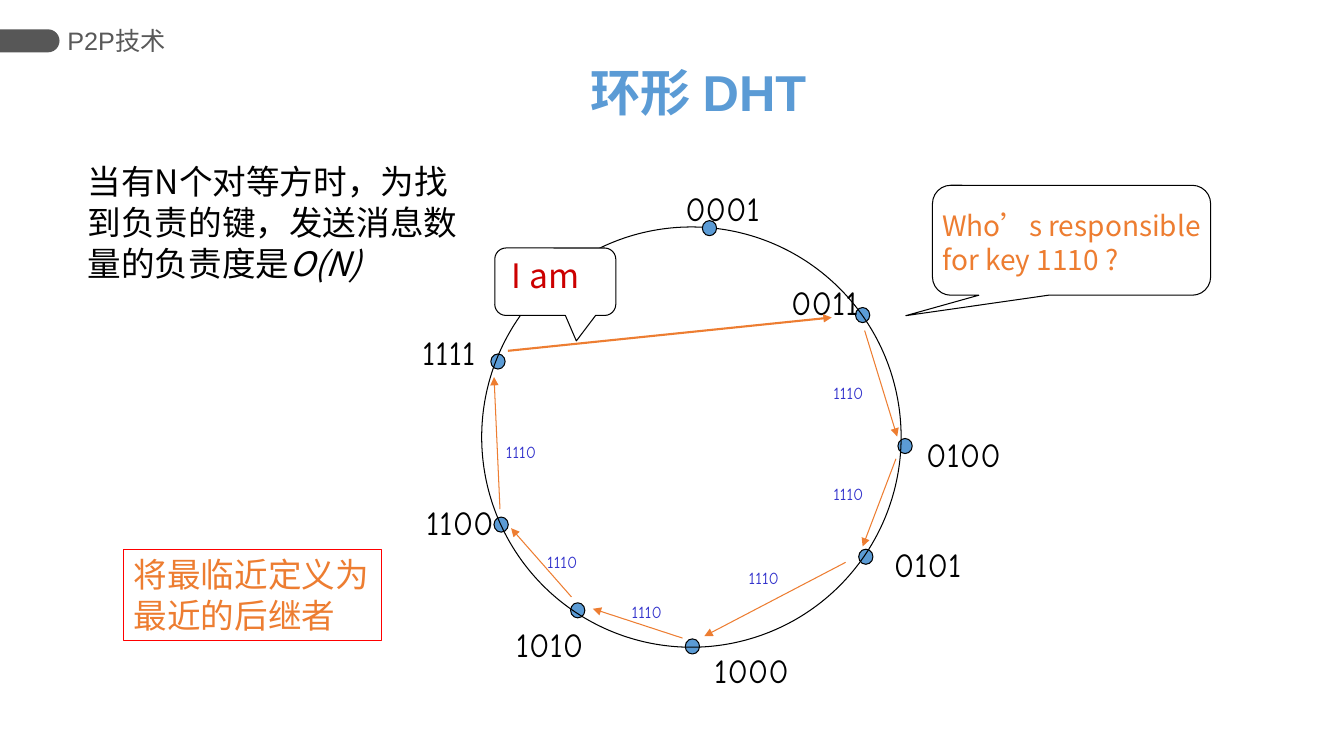
from lxml import etree
from pptx import Presentation
from pptx import util as u
from pptx.dml.color import RGBColor
from pptx.enum import shapes, text
from pptx.oxml.ns import qn

Cm, Pt = u.Cm, u.Pt
MSO = shapes.MSO_SHAPE
CJK, COMIC, ARIAL = "Noto Sans CJK SC", "Comic Neue", "Arial"
COLORS = {
    "black": "000000", "white": "FFFFFF", "blue": "5B9BD5", "orange": "ED7D31",
    "key": "3333CC", "answer": "CC0000", "frame": "FF0000",
    "tab": "575757", "header": "595959",
}

# peer id, dot left and top, label left, top and width (cm)
PEERS = [
    ("0001", 17.70, 5.56, 17.02, 4.60, 2.46),
    ("0011", 21.56, 7.75, 19.69, 6.99, 2.36),
    ("0100", 22.63, 11.05, 23.09, 10.82, 2.46),
    ("0101", 21.64, 13.84, 22.28, 13.59, 2.31),
    ("1000", 17.27, 16.10, 17.75, 16.26, 2.46),
    ("1010", 14.38, 15.19, 12.75, 15.60, 2.31),
    ("1100", 12.45, 13.03, 10.49, 12.52, 2.36),
    ("1111", 12.37, 8.92, 10.39, 8.23, 2.06),
]
# arrow start, arrow end, key label left and top (cm)
HOPS = [
    ((21.79, 8.33), (22.61, 11.00), (20.75, 9.53)),
    ((22.58, 11.56), (21.74, 13.77), (20.75, 12.07)),
    ((21.31, 14.17), (17.75, 16.03), (18.62, 14.17)),
    ((17.20, 16.08), (14.94, 15.34), (15.67, 15.04)),
    ((14.40, 15.04), (12.88, 13.31), (13.54, 13.77)),
    ((12.60, 12.83), (12.45, 9.50), (12.50, 11.00)),
]


def rgb(name):
    return RGBColor.from_string(COLORS[name])


def add_shape(slide, kind, box, fill=None, line="black", adjustments=()):
    sp = slide.shapes.add_shape(kind, *map(Cm, box))
    sp.shadow.inherit = False
    if fill:
        sp.fill.solid()
        sp.fill.fore_color.rgb = rgb(fill)
    else:
        sp.fill.background()
    if line:
        sp.line.color.rgb = rgb(line)
        sp.line.width = Pt(0.75)
    else:
        sp.line.fill.background()
    for i, value in enumerate(adjustments):
        sp.adjustments[i] = value
    return sp


def write(sp, lines, size, font, color, wrap=False, bold=None, spacing=None, gap=0):
    """Fill a shape with paragraphs that share one font."""
    tf = sp.text_frame
    tf.word_wrap = wrap
    tf.vertical_anchor = text.MSO_ANCHOR.TOP
    for i, line in enumerate(lines):
        p = tf.add_paragraph() if i else tf.paragraphs[0]
        p.text = line
        p.alignment = text.PP_ALIGN.LEFT
        if spacing:
            p.line_spacing = spacing
        if i:
            p.space_before = Pt(gap)
        p.font.size = Pt(size)
        p.font.name = font
        p.font.bold = bold
        p.font.color.rgb = rgb(color)
    return tf


def add_text(slide, box, lines, *style, **options):
    return write(slide.shapes.add_textbox(*map(Cm, box)), lines, *style, **options)


def add_arrow(slide, start, end, width=0.75):
    c = slide.shapes.add_connector(shapes.MSO_CONNECTOR.STRAIGHT, *map(Cm, start + end))
    c.line.color.rgb = rgb("orange")
    c.line.width = Pt(width)
    etree.SubElement(c.line._get_or_add_ln(), qn("a:tailEnd"), type="triangle")
    etree.SubElement(c._element.spPr, qn("a:effectLst"))


def add_dot(slide, peer):
    add_shape(slide, MSO.OVAL, (peer[1], peer[2], 0.36, 0.38), "blue")


def add_header(slide):
    tab = add_shape(slide, MSO.ROUND_2_SAME_RECTANGLE, (0.46, 0.28, 0.58, 1.5),
                    "tab", None, (0.5, 0))
    tab.rotation = 90
    tf = add_text(slide, (1.7, 0.48, 11.96, 1.07), ["P2P技术"], 18, ARIAL, "header", wrap=True)
    tf.vertical_anchor = text.MSO_ANCHOR.MIDDLE
    tf.margin_left = tf.margin_right = 0
    add_text(slide, (14.63, 1.6, 15.14, 3.18), ["环形 DHT"], 36, ARIAL, "blue",
             wrap=True, bold=True, spacing=0.9)


def add_ring(slide):
    for peer in PEERS[1:]:
        add_dot(slide, peer)
    add_shape(slide, MSO.OVAL, (12.14, 5.72, 10.57, 10.59))
    add_dot(slide, PEERS[0])
    for name, _, _, left, top, width in PEERS:
        add_text(slide, (left, top, width, 1.3), [name], 24, COMIC, "black")


def add_lookup(slide):
    """Draw the query, its hops around the ring and the reply."""
    callout = MSO.ROUNDED_RECTANGULAR_CALLOUT
    add_shape(slide, callout, (23.5, 4.67, 7.01, 2.77), adjustments=(-0.596, 0.686, 0.167))
    add_text(slide, (23.5, 5.26, 7.32, 1.85), ["Who’s responsible", "for key 1110 ?"],
             20, CJK, "orange", spacing=Pt(20), gap=4.3)
    for start, end, label in HOPS:
        add_arrow(slide, start, end)
        add_text(slide, label + (1.35, 0.76), ["1110"], 12, COMIC, "key")
    add_arrow(slide, (12.8, 8.84), (20.96, 8.0), 1.5)
    add_shape(slide, callout, (12.47, 6.25, 3.05, 1.7), "white",
              adjustments=(0.174, 0.878, 0.167))
    add_text(slide, (12.65, 6.3, 3.61, 1.3), ["I am"], 24, CJK, "answer",
             wrap=True, spacing=Pt(28.8))


def add_notes_on_cost(slide):
    tf = add_text(slide, (1.96, 4.11, 9.91, 3.23),
                  ["当有N个对等方时，为找", "到负责的键，发送消息数", "量的负责度是"],
                  24, CJK, "black", wrap=True, spacing=Pt(23.8), gap=5.5)
    r = tf.paragraphs[-1].add_run()
    r.text = "O(N)"
    r.font.italic = True
    rule = add_shape(slide, MSO.RECTANGLE, (3.12, 13.84, 6.5, 2.31), line="frame")
    write(rule, ["将最临近定义为\v最近的后继者"], 24, CJK, "orange", spacing=Pt(28.8))


def main():
    prs = Presentation()
    prs.slide_width, prs.slide_height = Cm(33.87), Cm(19.05)
    slide = prs.slides.add_slide(prs.slide_layouts[6])
    add_header(slide)
    add_ring(slide)
    add_lookup(slide)
    add_notes_on_cost(slide)
    prs.save("out.pptx")


if __name__ == "__main__":
    main()
